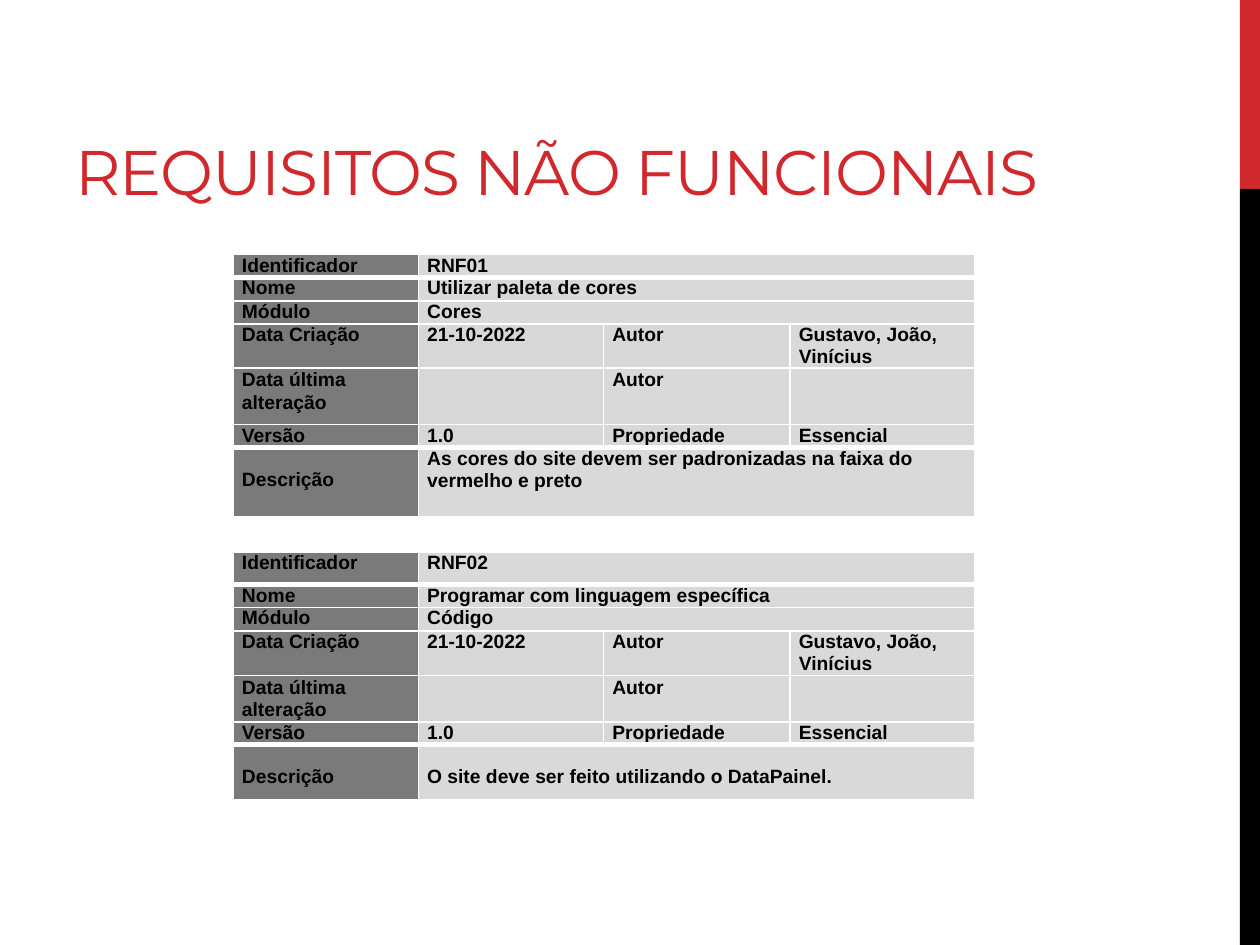
from dataclasses import dataclass

from lxml import etree
from pptx import Presentation
from pptx import util as u
from pptx.dml.color import RGBColor
from pptx.enum import shapes, text
from pptx.oxml.ns import qn


@dataclass(frozen=True)
class Theme:
    """Colours, fonts and type sizes of the slide."""
    red: str = "D1282E"
    black: str = "000000"
    white: str = "FFFFFF"
    label: str = "7A7A7A"
    value: str = "D9D9D9"
    inner: str = "D7D7D7"
    title_font: str = "Montserrat"
    body_font: str = "Arial"
    title_size: float = 36
    body_size: float = 11
    thin: float = 1
    thick: float = 3


T = Theme()
COLS = [1.47, 1.47, 1.48, 1.47]


def add_text(tf, lines, *, font=T.body_font, size=T.body_size, color=T.black,
             bold=False, spacing=None, leading=(), indent=0):
    """Write one paragraph per line with the given format."""
    for i, line in enumerate(lines):
        p = tf.paragraphs[0] if i == 0 else tf.add_paragraph()
        if leading:
            p.line_spacing = u.Pt(leading[min(i, len(leading) - 1)])
        if indent:
            p._p.get_or_add_pPr().set("marL", str(u.Inches(indent)))
        r = p.add_run()
        r.text = line
        r.font.name, r.font.size, r.font.bold = font, u.Pt(size), bold
        r.font.color.rgb = RGBColor.from_string(color)
        if spacing is not None:
            r._r.get_or_add_rPr().set("spc", str(round(spacing * 100)))


def add_bar(slide, top, height, color):
    """Add a plain block of the right-hand strip."""
    sp = slide.shapes.add_shape(shapes.MSO_SHAPE.RECTANGLE, u.Inches(9.84),
                                u.Inches(top), u.Inches(0.16), u.Inches(height))
    sp.shadow.inherit = False
    sp.fill.solid()
    sp.fill.fore_color.rgb = RGBColor.from_string(color)
    sp.line.fill.background()


def add_title(slide, title):
    """Add the slide title, set on the bottom of its box."""
    sp = slide.shapes.add_textbox(u.Inches(0.5), u.Inches(0.17),
                                  u.Inches(9.07), u.Inches(1.5))
    tf = sp.text_frame
    tf.word_wrap = True
    tf.vertical_anchor = text.MSO_ANCHOR.BOTTOM
    tf.margin_bottom = u.Inches(0.02)
    add_text(tf, [title], font=T.title_font, size=T.title_size, color=T.red,
             spacing=-0.6)


def set_borders(cell, top, bottom):
    """Draw white borders around a cell."""
    tcPr = cell._tc.get_or_add_tcPr()
    widths = {"lnL": T.thin, "lnR": T.thin, "lnT": top, "lnB": bottom}
    for i, (tag, width) in enumerate(widths.items()):
        ln = etree.Element(qn(f"a:{tag}"), w=str(u.Pt(width)))
        fill = etree.SubElement(ln, qn("a:solidFill"))
        etree.SubElement(fill, qn("a:srgbClr"), val=T.white)
        tcPr.insert(i, ln)


def fill_cell(cell, content, color, *, top=T.thin, bottom=T.thin, drop=0,
              leading=(12.4,)):
    """Give a cell its fill, borders, insets and text."""
    cell.fill.solid()
    cell.fill.fore_color.rgb = RGBColor.from_string(color)
    set_borders(cell, top, bottom)
    cell.margin_left = cell.margin_right = cell.margin_bottom = 0
    cell.margin_top = u.Inches(drop)
    if content:
        add_text(cell.text_frame, content.split("\n"), bold=True,
                 leading=leading, indent=0.07)


def add_requirement(slide, top, heights, code, name, module, description, drop):
    """Add the table of one requirement."""
    rows = [
        ["Identificador", code],
        ["Nome", name],
        ["Módulo", module],
        ["Data Criação", "21-10-2022", "Autor", "Gustavo, João, Vinícius"],
        ["Data última\nalteração", "", "Autor", ""],
        ["Versão", "1.0", "Propriedade", "Essencial"],
        ["Descrição", description],
    ]
    last = len(rows) - 1
    frame = slide.shapes.add_table(len(rows), len(COLS), u.Inches(1.85),
                                   u.Inches(top), u.Inches(sum(COLS)),
                                   u.Inches(sum(heights)))
    table = frame.table
    table.first_row = table.horz_banding = False
    for col, width in zip(table.columns, COLS):
        col.width = u.Inches(width)
    for i, (row, height) in enumerate(zip(rows, heights)):
        table.rows[i].height = u.Inches(height)
        spans = len(row) == 2
        if spans:
            table.cell(i, 1).merge(table.cell(i, 3))
        for j in range(len(COLS)):
            inner = not spans and (j == 1 or j == 2 and i != 4)
            color = T.label if j == 0 else T.inner if inner else T.value
            shift = (0.17 if j == 0 else drop) if i == last else 0
            fill_cell(table.cell(i, j), row[j] if j < len(row) else "", color,
                      top=T.thick if i in (1, last) else T.thin,
                      bottom=T.thick if i in (0, last - 1) else T.thin,
                      drop=shift,
                      leading=(13.2, 12.6) if i == 4 else
                      (12.6,) if i == last and j else (12.4,))


def main():
    """Build the slide and save it."""
    prs = Presentation()
    prs.slide_width, prs.slide_height = u.Inches(10), u.Inches(7.5)
    slide = prs.slides.add_slide(prs.slide_layouts[6])
    add_bar(slide, 0, 1.5, T.red)
    add_bar(slide, 1.5, 6, T.black)
    add_title(slide, "REQUISITOS NÃO FUNCIONAIS")
    add_requirement(
        slide, 2.02, [0.18, 0.19, 0.18, 0.35, 0.45, 0.18, 0.55],
        "RNF01", "Utilizar paleta de cores", "Cores",
        "As cores do site devem ser padronizadas na faixa do vermelho e preto", 0)
    add_requirement(
        slide, 4.38, [0.26, 0.18, 0.19, 0.35, 0.37, 0.18, 0.44],
        "RNF02", "Programar com linguagem específica", "Código",
        "O site deve ser feito utilizando o DataPainel.", 0.17)
    prs.save("out.pptx")


main()
